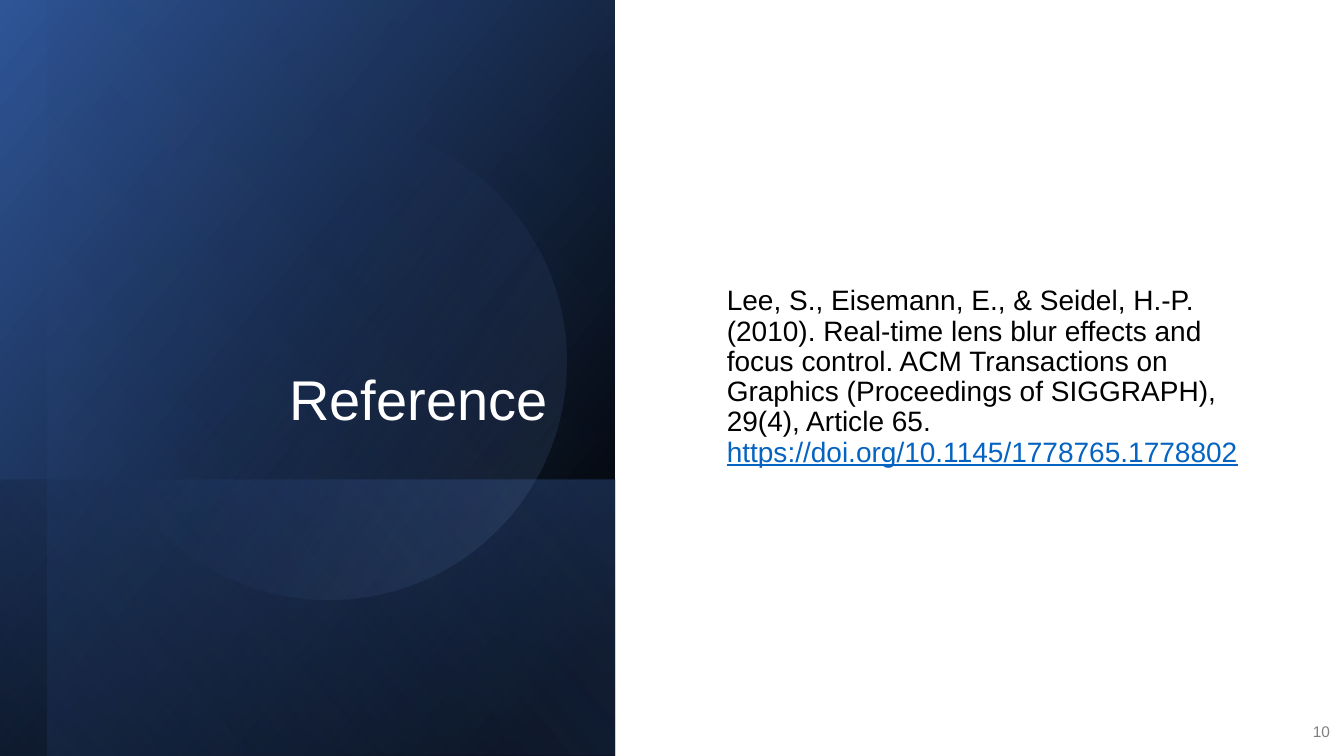
from lxml.etree import SubElement
from pptx import Presentation
from pptx.dml.color import RGBColor
from pptx.enum.shapes import MSO_SHAPE
from pptx.enum.text import MSO_ANCHOR, PP_ALIGN
from pptx.oxml.ns import qn
from pptx.util import Inches, Pt

COLORS = {
    "black": "000000",
    "white": "FFFFFF",
    "navy": "2F5597",
    "blue": "4472C4",
    "pale": "8FAADC",
    "link": "0563C1",
    "gray": "808080",
}
CITATION = (
    "Lee, S., Eisemann, E., & Seidel, H.-P. (2010). Real-time lens blur effects "
    "and focus control. ACM Transactions on Graphics (Proceedings of SIGGRAPH), "
    "29(4), Article 65. "
)
DOI = "https://doi.org/10.1145/1778765.1778802"


def color_of(name):
    return RGBColor.from_string(COLORS[name])


def add_gradient_shape(page, kind, bounds, angle, stops):
    shape = page.shapes.add_shape(kind, *map(Inches, bounds))
    shape.shadow.inherit = False
    shape.line.fill.background()
    shape.fill.gradient()
    shape.fill.gradient_angle = 360 - angle
    for stop, (position, color, opacity) in zip(shape.fill.gradient_stops, stops):
        stop.position = position / 100
        stop.color.rgb = color_of(color)
        if opacity < 100:
            solid = shape.element.spPr.findall(".//" + qn("a:srgbClr"))[-1 if stop_is_last(position, stops) else 0]
            SubElement(solid, qn("a:alpha"), val=str(opacity * 1000))
    return shape


def stop_is_last(position, stops):
    return position == stops[-1][0]


def add_text(page, bounds, spans, size, anchor, align=PP_ALIGN.LEFT, spacing=1.0):
    box = page.shapes.add_textbox(*map(Inches, bounds))
    frame = box.text_frame
    frame.word_wrap = True
    frame.vertical_anchor = anchor
    para = frame.paragraphs[0]
    para.alignment = align
    para.line_spacing = spacing
    for text, color, underline in spans:
        span = para.add_run()
        span.text = text
        span.font.name = "Arial"
        span.font.size = Pt(size)
        span.font.color.rgb = color_of(color)
        span.font.underline = underline
    return box


def main():
    deck = Presentation()
    deck.slide_width = Inches(13.33)
    deck.slide_height = Inches(7.5)
    page = deck.slides.add_slide(deck.slide_layouts[6])

    add_gradient_shape(page, MSO_SHAPE.RECTANGLE, (0, 0, 6.1, 7.5), 220,
                       [(8, "black", 100), (100, "navy", 100)])
    add_gradient_shape(page, MSO_SHAPE.RECTANGLE, (0, 4.76, 6.1, 2.74), 140,
                       [(2, "blue", 29), (100, "black", 30)])
    add_gradient_shape(page, MSO_SHAPE.RECTANGLE, (0.47, 0, 5.63, 7.5), 140,
                       [(0, "black", 0), (99, "blue", 11)])
    add_gradient_shape(page, MSO_SHAPE.OVAL, (0.9, 1.23, 4.72, 4.72), 32,
                       [(39, "blue", 0), (100, "pale", 15)])

    add_text(page, (0.9, 0.64, 4.63, 3.7), [("Reference", "white", False)],
             40, MSO_ANCHOR.BOTTOM, PP_ALIGN.RIGHT, 0.9)
    add_text(page, (7.11, 0.71, 5.32, 6.07),
             [(CITATION, "black", False), (DOI, "link", True)],
             20, MSO_ANCHOR.MIDDLE, spacing=0.9)
    add_text(page, (12.8, 7.06, 0.49, 0.4), [("10", "gray", False)],
             11, MSO_ANCHOR.MIDDLE, PP_ALIGN.RIGHT)

    deck.save("out.pptx")


if __name__ == "__main__":
    main()
